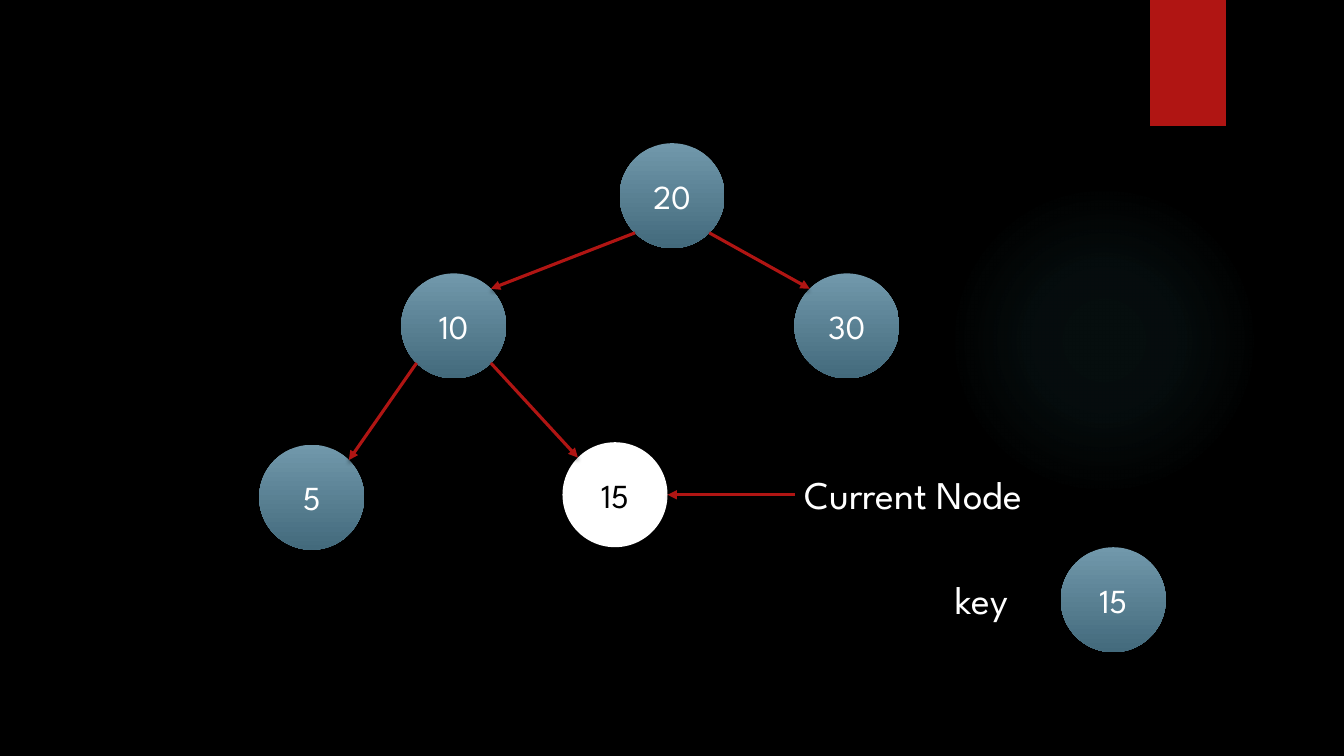
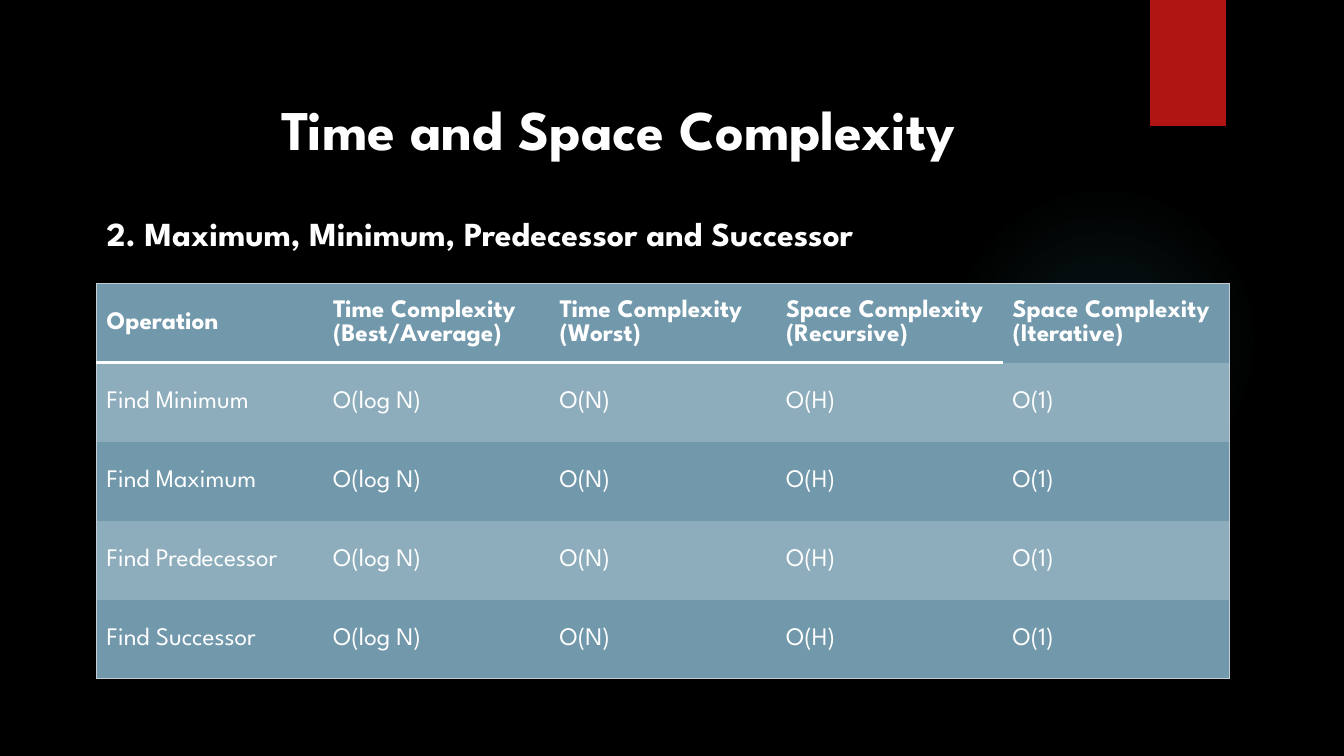
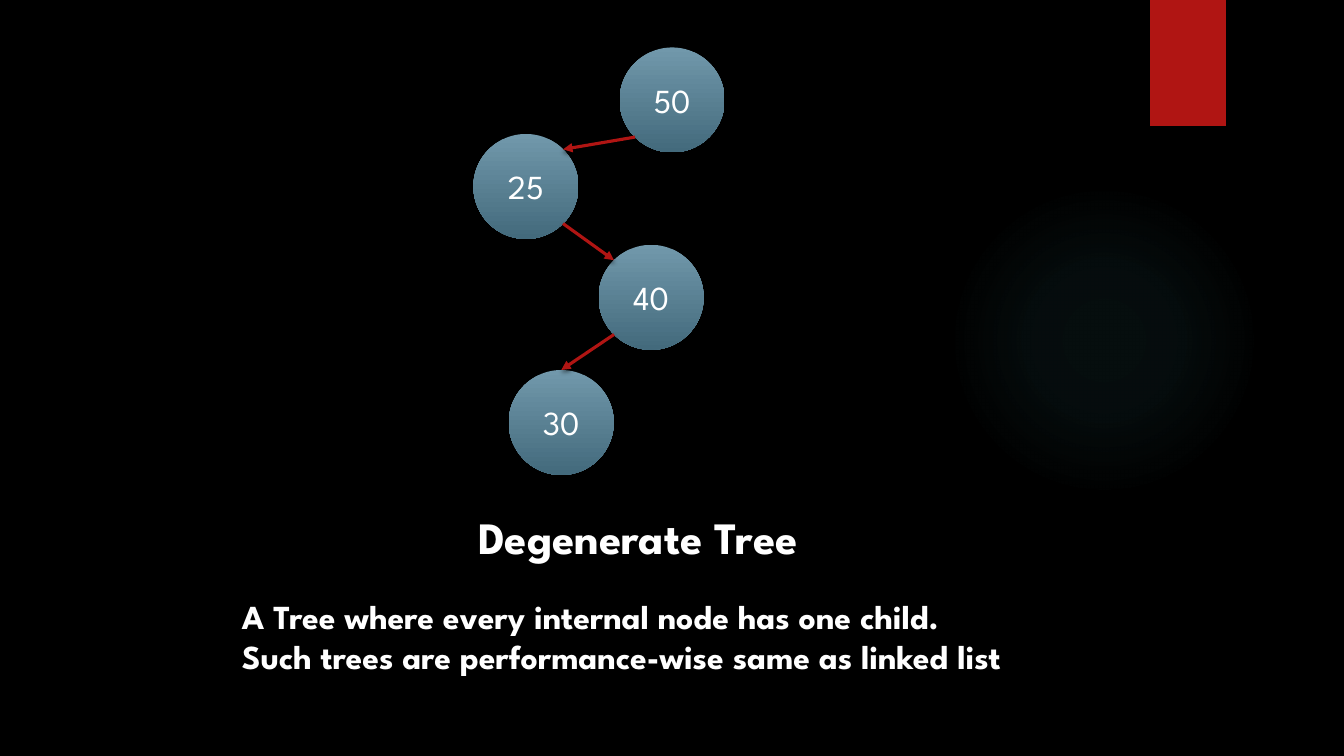
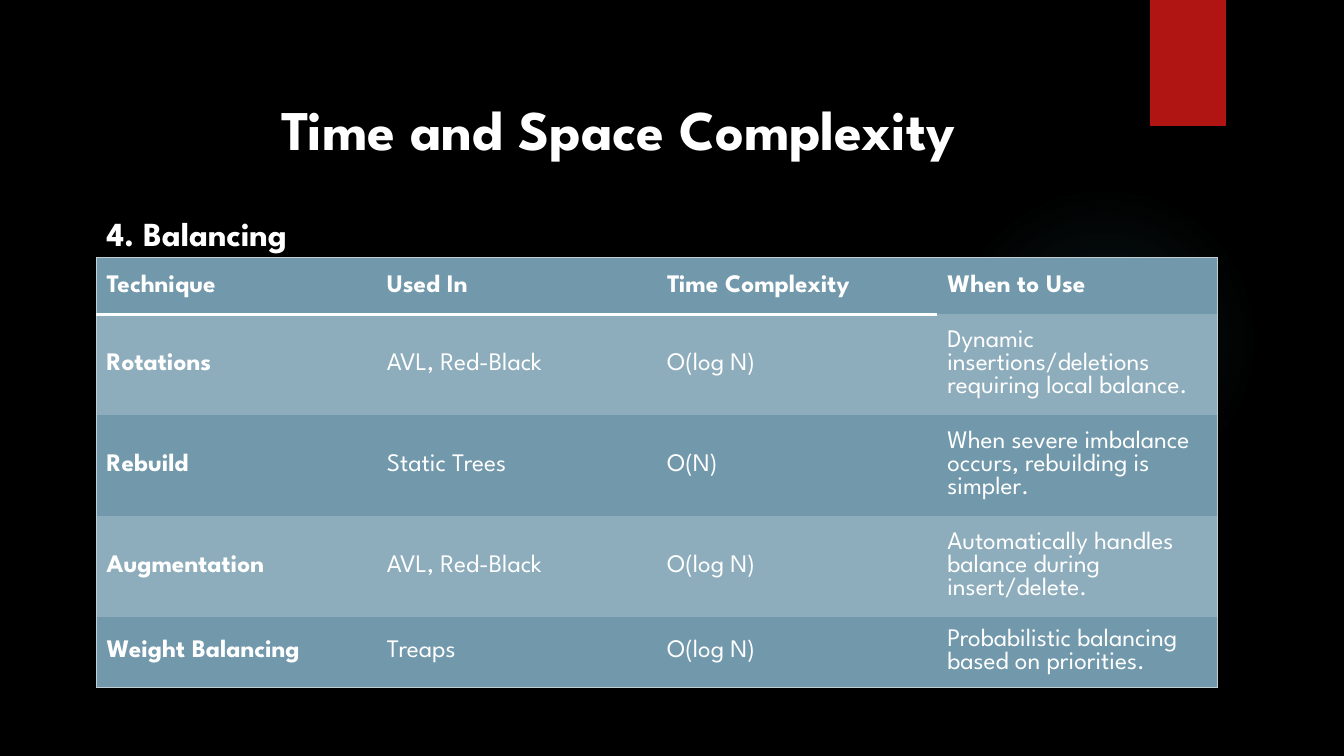
"""Build four slides on binary search trees: two tree diagrams and two complexity tables."""
from math import sqrt

from pptx import Presentation
from pptx.dml.color import RGBColor
from pptx.enum.shapes import MSO_CONNECTOR, MSO_SHAPE
from pptx.enum.text import MSO_ANCHOR, MSO_AUTO_SIZE, PP_ALIGN
from pptx.oxml import parse_xml
from pptx.oxml.ns import nsdecls, qn
from pptx.util import Emu, Inches, Pt

COLORS = {
    "black": "000000",
    "white": "FFFFFF",
    "red": "B01513",
    "steel": "7198AB",
    "deep": "436A7C",
    "pale": "8DADBC",
    "edge": "C3CED4",
    "glow": "50B9C1",
}
FONT = "League Spartan"
WIDTH, HEIGHT = Inches(13.33), Inches(7.5)
ROWS = 90
CELL = HEIGHT / ROWS
NODE = 12.5
DIAGONAL = sqrt(0.5)
SITES = {
    "top": (0, -1),
    "right": (1, 0),
    "upper left": (-DIAGONAL, -DIAGONAL),
    "upper right": (DIAGONAL, -DIAGONAL),
    "lower left": (-DIAGONAL, DIAGONAL),
    "lower right": (DIAGONAL, DIAGONAL),
}
NO_GRID_STYLE = "{2D5ABB26-0587-4C30-8999-92F81FD0307C}"
TABLE_LEFT = 11.5


def grid(*cells):
    return [Emu(round(c * CELL)) for c in cells]


def rgb(name):
    return RGBColor.from_string(COLORS[name])


def add_shadow(sp, alpha, blur, dist):
    sp.element.spPr.append(parse_xml(
        f'<a:effectLst {nsdecls("a")}><a:outerShdw blurRad="{Pt(blur)}" dist="{Pt(dist)}"'
        f' dir="5400000" rotWithShape="0"><a:srgbClr val="{COLORS["black"]}">'
        f'<a:alpha val="{alpha * 1000}"/></a:srgbClr></a:outerShdw></a:effectLst>'))


def write(p, text, size, color="white", bold=False, align=PP_ALIGN.LEFT):
    p.alignment = align
    r = p.add_run()
    r.text = text
    r.font.name = FONT
    r.font.size = Pt(size)
    r.font.bold = bold
    r.font.color.rgb = rgb(color)


def fill_frame(tf, lines, size, bold):
    tf.word_wrap = True
    tf.auto_size = MSO_AUTO_SIZE.NONE
    tf.vertical_anchor = MSO_ANCHOR.TOP
    for i, line in enumerate(lines):
        p = tf.add_paragraph() if i else tf.paragraphs[0]
        write(p, line, size, bold=bold)


def add_text(s, box, lines, size, bold=False):
    sp = s.shapes.add_textbox(*grid(*box))
    fill_frame(sp.text_frame, lines, size, bold)


def set_title(s, box, text, size):
    sp = s.shapes.title
    sp.left, sp.top, sp.width, sp.height = grid(*box)
    fill_frame(sp.text_frame, [text], size, True)


def decorate_master(prs, s):
    master = prs.slide_master
    master.background.fill.solid()
    master.background.fill.fore_color.rgb = rgb("black")

    glow = s.shapes.add_shape(MSO_SHAPE.OVAL, *grid(112.9, 22, 37, 37))
    glow.shadow.inherit = False
    glow.line.fill.background()
    stops = "".join(
        f'<a:gs pos="{pos * 1000}"><a:srgbClr val="{COLORS["glow"]}">'
        f'<a:alpha val="{alpha * 1000}"/></a:srgbClr></a:gs>'
        for pos, alpha in ((0, 7), (36, 6), (69, 0)))
    glow.element.spPr.find(qn("a:prstGeom")).addnext(parse_xml(
        f'<a:gradFill {nsdecls("a")} rotWithShape="1"><a:gsLst>{stops}</a:gsLst>'
        '<a:path path="circle"><a:fillToRect l="50000" t="50000" r="50000" b="50000"/>'
        '</a:path></a:gradFill>'))

    band = s.shapes.add_shape(MSO_SHAPE.RECTANGLE, *grid(136.9, 0, 9, 15))
    band.fill.solid()
    band.fill.fore_color.rgb = rgb("red")
    band.line.fill.background()
    add_shadow(band, 45, 3, 2)

    for i, sp in enumerate((glow, band)):
        master.shapes.element.insert(2 + i, sp.element)


def add_node(s, label, center, current=False):
    x, y = center
    sp = s.shapes.add_shape(
        MSO_SHAPE.OVAL, *grid(x - NODE / 2, y - NODE / 2, NODE, NODE))
    sp.line.fill.background()
    if current:
        sp.fill.solid()
        sp.fill.fore_color.rgb = rgb("white")
        sp.shadow.inherit = False
    else:
        sp.fill.gradient()
        sp.fill.gradient_angle = 270
        for stop, color in zip(sp.fill.gradient_stops, ("steel", "deep")):
            stop.color.rgb = rgb(color)
        add_shadow(sp, 60, 5, 3)
    tf = sp.text_frame
    tf.vertical_anchor = MSO_ANCHOR.MIDDLE
    write(tf.paragraphs[0], label, 24, "black" if current else "white",
          align=PP_ALIGN.CENTER)


def site(center, side):
    return [c + d * NODE / 2 for c, d in zip(center, SITES[side])]


def add_arrow(s, start, end):
    line = s.shapes.add_connector(MSO_CONNECTOR.STRAIGHT, *grid(*start, *end))
    line.line.color.rgb = rgb("red")
    line.line.width = Pt(2.25)
    line.element.spPr.find(qn("a:ln")).append(
        parse_xml(f'<a:tailEnd {nsdecls("a")} type="triangle"/>'))
    add_shadow(line, 45, 3, 2)


def add_tree(s, centers, edges, current=None):
    for label, center in centers.items():
        add_node(s, label, center, label == current)
    for parent, start, child, end in edges:
        add_arrow(s, site(centers[parent], start), site(centers[child], end))


def set_border(cell, side, color, width):
    tc_pr = cell._tc.get_or_add_tcPr()
    tc_pr.append(parse_xml(
        f'<a:ln{side} {nsdecls("a")} w="{Pt(width)}"><a:solidFill>'
        f'<a:srgbClr val="{COLORS[color]}"/></a:solidFill></a:ln{side}>'))


def add_grid_table(s, top, width, heights, data, bold_first=False):
    n_rows, n_cols = len(data), len(data[0])
    frame = s.shapes.add_table(
        n_rows, n_cols, *grid(TABLE_LEFT, top, width, sum(heights)))
    for style in frame.element.iter(qn("a:tableStyleId")):
        style.text = NO_GRID_STYLE
    table = frame.table
    table.horz_banding = False
    for column in table.columns:
        column.width = grid(width / n_cols)[0]
    for i, (row, height) in enumerate(zip(data, heights)):
        table.rows[i].height = grid(height)[0]
        for j, text in enumerate(row):
            cell = table.cell(i, j)
            cell.vertical_anchor = MSO_ANCHOR.MIDDLE
            last_col = j == n_cols - 1
            outer = {"L": j == 0, "R": last_col, "T": i == 0, "B": i == n_rows - 1}
            for side, is_outer in outer.items():
                if is_outer:
                    set_border(cell, side, "edge", 0.75)
                elif side == "B" and i == 0 and not last_col:
                    set_border(cell, side, "white", 2.25)
            cell.fill.solid()
            cell.fill.fore_color.rgb = rgb("pale" if i % 2 else "steel")
            write(cell.text_frame.paragraphs[0], text, 18,
                  bold=i == 0 or (bold_first and j == 0))


def complexity_slide(prs, heading, **table):
    s = prs.slides.add_slide(prs.slide_layouts[5])
    set_title(s, (32.3, 10.6, 95.5, 9.2), "Time and Space Complexity", 40)
    add_text(s, (TABLE_LEFT, 24.7, 131.5, 6), [heading], 24, True)
    add_grid_table(s, **table)


def search_slide(prs):
    s = prs.slides.add_slide(prs.slide_layouts[6])
    decorate_master(prs, s)
    centers = {"20": (80, 23.3), "10": (54, 38.8), "5": (37.1, 59.2),
               "15": (73.2, 58.9), "30": (100.8, 38.8)}
    add_tree(s, centers, [
        ("20", "lower left", "10", "upper right"),
        ("10", "lower left", "5", "upper right"),
        ("10", "lower right", "15", "upper left"),
        ("20", "lower right", "30", "upper left"),
    ], current="15")
    add_text(s, (112.6, 67.9, 10.3, 6.8), ["key"], 28)
    add_node(s, "15", (132.5, 71.4))
    add_text(s, (94.6, 55.4, 33.7, 6.8), ["Current Node"], 28)
    add_arrow(s, (94.6, centers["15"][1]), site(centers["15"], "right"))


def degenerate_slide(prs):
    s = prs.slides.add_slide(prs.slide_layouts[5])
    set_title(s, (55.7, 60.1, 47.6, 7.7), "Degenerate Tree", 32)
    add_text(s, (27.6, 70.3, 103.7, 10.9), [
        "A Tree where every internal node has one child.",
        "Such trees are performance-wise same as linked list",
    ], 24, True)
    add_tree(s, {"50": (80, 11.9), "25": (62.6, 22.2),
                 "30": (66.8, 50.3), "40": (77.5, 35.4)}, [
        ("50", "lower left", "25", "upper right"),
        ("40", "lower left", "30", "top"),
        ("25", "lower right", "40", "upper left"),
    ])


def main():
    prs = Presentation()
    prs.slide_width, prs.slide_height = WIDTH, HEIGHT
    search_slide(prs)
    operations = ("Minimum", "Maximum", "Predecessor", "Successor")
    complexity_slide(
        prs, "2. Maximum, Minimum, Predecessor and Successor",
        top=33.8, width=134.8, heights=[9.4] * 5,
        data=[("Operation", "Time Complexity (Best/Average)", "Time Complexity (Worst)",
               "Space Complexity (Recursive)", "Space Complexity (Iterative)")]
        + [(f"Find {name}", "O(log N)", "O(N)", "O(H)", "O(1)") for name in operations])
    degenerate_slide(prs)
    complexity_slide(
        prs, "4. Balancing",
        top=30.7, width=133.4, heights=[6.7, 12, 12, 12, 8.4], bold_first=True,
        data=[
            ("Technique", "Used In", "Time Complexity", "When to Use"),
            ("Rotations", "AVL, Red-Black", "O(log N)",
             "Dynamic insertions/deletions requiring local balance."),
            ("Rebuild", "Static Trees", "O(N)",
             "When severe imbalance occurs, rebuilding is simpler."),
            ("Augmentation", "AVL, Red-Black", "O(log N)",
             "Automatically handles balance during insert/delete."),
            ("Weight Balancing", "Treaps", "O(log N)",
             "Probabilistic balancing based on priorities."),
        ])
    prs.save("out.pptx")


if __name__ == "__main__":
    main()
